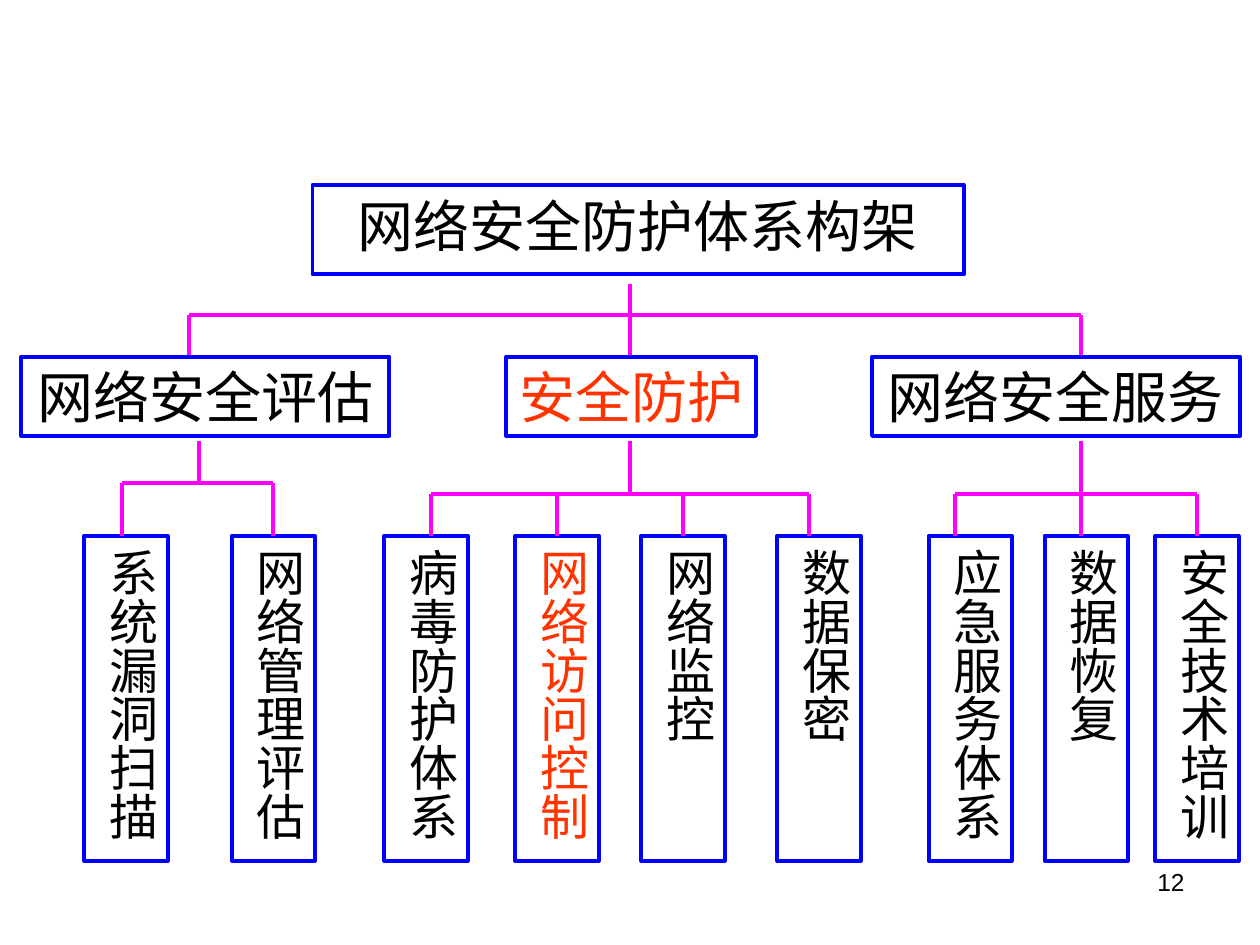
from pptx import Presentation
from pptx.dml.color import RGBColor
from pptx.enum import shapes, text
from pptx.oxml.ns import qn
from pptx.util import Cm, Pt
from lxml import etree

BLACK = RGBColor(0x00, 0x00, 0x00)
WHITE = RGBColor(0xFF, 0xFF, 0xFF)
BLUE = RGBColor(0x00, 0x00, 0xFF)
MAGENTA = RGBColor(0xFF, 0x00, 0xFF)
HIGHLIGHT = RGBColor(0xFF, 0x33, 0x00)

HIGHLIGHTED = {"安全防护", "网络访问控制"}
LINE_WIDTH = Pt(2.25)

# Vertical rhythm of a branch, in cm below its top
HEADER_HEIGHT = 1.6
STEM_TOP = 1.7
LEAF_TOP = 3.61
LEAF_WIDTH = 1.68

# Box, header (label, offset, width), stem, bus, leaves (label, offset, drop);
# offsets are in cm from the left and top of the box
BRANCHES = [
    dict(box=(0.43, 7.19, 7.42, 10.16), header=("网络安全评估", 0, 7.42),
         stem=3.58, bus=2.54,
         leaves=[("系统漏洞扫描", 1.27, 2.03), ("网络管理评估", 4.24, 5.08)]),
    dict(box=(7.75, 7.19, 9.6, 10.16), header=("安全防护", 2.46, 5.03),
         stem=4.95, bus=2.77,
         leaves=[("病毒防护体系", 0, 0.94), ("网络访问控制", 2.64, 3.48),
                 ("网络监控", 5.18, 6.02), ("数据保密", 7.92, 8.56)]),
    dict(box=(17.58, 7.19, 7.42, 10.16), header=("网络安全服务", 0, 7.42),
         stem=4.21, bus=2.77,
         leaves=[("应急服务体系", 1.14, 1.67), ("数据恢复", 3.48, 4.21),
                 ("安全技术培训", 5.71, 6.55)]),
]


def write(frame, label, size, align, color=BLACK):
    frame.text = label
    paragraph = frame.paragraphs[0]
    paragraph.alignment = align
    font = paragraph.runs[0].font
    font.name, font.size = "Arial", Pt(size)
    font.color.rgb = color


def add_node(slide, label, box, size=32, vertical=False):
    node = slide.shapes.add_shape(shapes.MSO_SHAPE.RECTANGLE, *map(Cm, box))
    node.shadow.inherit = False
    node.fill.solid()
    node.fill.fore_color.rgb = WHITE
    node.line.color.rgb = BLUE
    node.line.width = LINE_WIDTH
    frame = node.text_frame
    write(frame, label, size, text.PP_ALIGN.CENTER,
          HIGHLIGHT if label in HIGHLIGHTED else BLACK)
    frame.vertical_anchor = text.MSO_ANCHOR.TOP
    frame.paragraphs[0].space_before = Pt(size * 0.625)
    if vertical:
        frame.margin_left = frame.margin_right = Cm(0.13)
        frame.margin_top = frame.margin_bottom = Cm(0.25)
        frame.auto_size = text.MSO_AUTO_SIZE.SHAPE_TO_FIT_TEXT
        node.element.find(".//" + qn("a:bodyPr")).set("vert", "eaVert")


def add_line(slide, x1, y1, x2, y2):
    line = slide.shapes.add_connector(
        shapes.MSO_CONNECTOR.STRAIGHT, Cm(x1), Cm(y1), Cm(x2), Cm(y2))
    line.line.color.rgb = MAGENTA
    line.line.width = LINE_WIDTH
    etree.SubElement(line.element.spPr, qn("a:effectLst"))


def add_fork(slide, stem, drops, top, bus, bottom):
    """A stem down to a horizontal bus, with one drop to each child."""
    add_line(slide, stem, top, stem, bus)
    add_line(slide, drops[0], bus, drops[-1], bus)
    for drop in drops:
        add_line(slide, drop, bus, drop, bottom)


def add_root(slide, box):
    left, top, width, height = box
    add_node(slide, "网络安全防护体系构架", box)
    add_fork(slide, left + 6.4, [left - 2.49, left + 6.4, left + 15.49],
             top + 1.99, top + 2.62, top + 3.46)


def add_branch(slide, box, header, stem, bus, leaves):
    left, top, width, height = box
    title, offset, title_width = header
    add_node(slide, title, (left + offset, top, title_width, HEADER_HEIGHT))
    for label, offset, _ in leaves:
        add_node(slide, label, (left + offset, top + LEAF_TOP, LEAF_WIDTH,
                                height - LEAF_TOP), size=28, vertical=True)
    add_fork(slide, left + stem, [left + drop for _, _, drop in leaves],
             top + STEM_TOP, top + bus, top + LEAF_TOP)


def add_page_number(slide, box):
    number = slide.shapes.add_textbox(*map(Cm, box))
    number.text_frame.word_wrap = True
    write(number.text_frame, "12", 14, text.PP_ALIGN.RIGHT)


def main():
    deck = Presentation()
    deck.slide_width, deck.slide_height = Cm(25.4), Cm(19.05)
    slide = deck.slides.add_slide(deck.slide_layouts[6])

    add_page_number(slide, (18.2, 17.35, 5.93, 1.32))
    add_root(slide, (6.3, 3.73, 13.13, 1.8))
    for branch in BRANCHES:
        add_branch(slide, **branch)

    deck.save("out.pptx")


if __name__ == "__main__":
    main()
